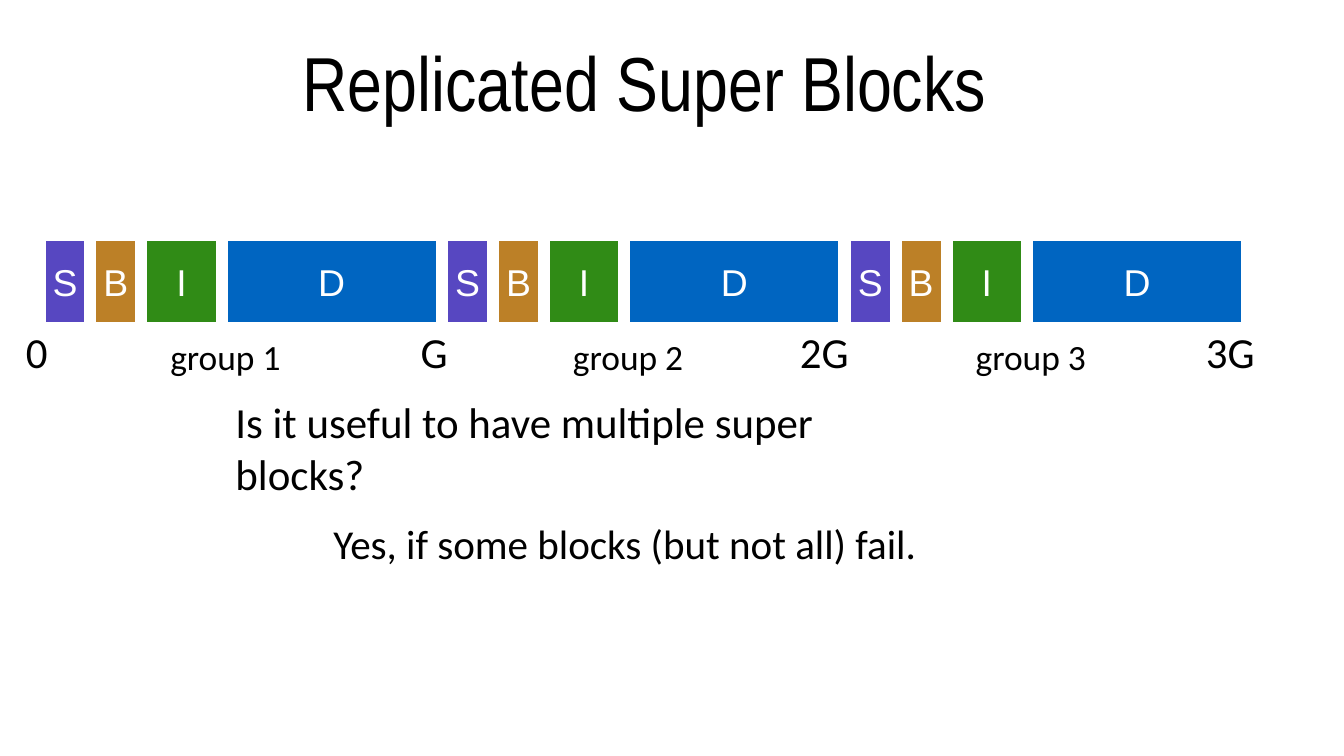
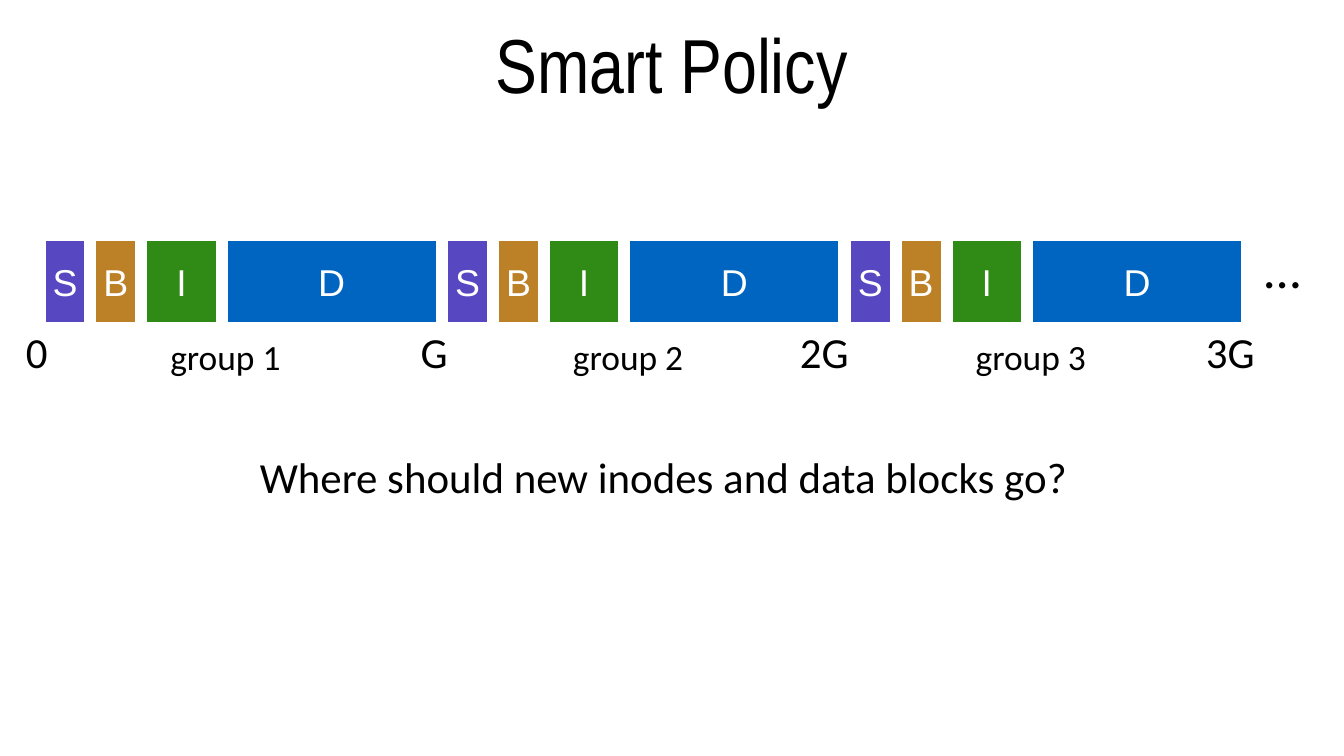
from pptx import Presentation
from pptx.dml.color import RGBColor
from pptx.enum.shapes import MSO_SHAPE
from pptx.enum.text import MSO_ANCHOR, PP_ALIGN
from pptx.util import Cm, Pt

RECTANGLE = MSO_SHAPE.RECTANGLE
MIDDLE, TOP = MSO_ANCHOR.MIDDLE, MSO_ANCHOR.TOP
LEFT, CENTER = PP_ALIGN.LEFT, PP_ALIGN.CENTER

BLACK, WHITE = "000000", "FFFFFF"
TITLE_FONT, BLOCK_FONT, BODY_FONT = "Arial Narrow", "Arial", "Calibri"

BLOCKS = [("S", 0.84, "5747C1"), ("B", 0.84, "BC8027"),
          ("I", 1.4, "308B16"), ("D", 4.04, "0065C1")]
GROUPS = ["group 1", "group 2", "group 3"]
MARKS = [("0", 0.41, 0.58), ("G", 7.87, 0.79), ("2G", 15.04, 1.19), ("3G", 22.71, 1.19)]

DISK_LEFT, DISK_TOP, BLOCK_HEIGHT = 0.81, 4.5, 1.65
BLOCK_GAP, GROUP_PITCH = 0.12, 7.61
GROUP_LABEL_LEFT = 3.14

SLIDES = [
    {"title": ("Replicated Super Blocks", (1.14, 0.2, 22.1, 2.67)),
     "texts": [
         ("Is it useful to have multiple super blocks?", (4.37, 7.87, 13.2, 1.17),
          {"size": 23, "wrap": True}),
         ("Yes, if some blocks (but not all) fail.", (6.05, 9.68, 11.66, 1.19),
          {"size": 22, "anchor": TOP, "insets": (0.25, 0.13)}),
     ]},
    {"title": ("Smart Policy", (1.27, 0, 22.86, 2.39)),
     "texts": [
         ("Where should new inodes and data blocks go?", (4.83, 8.41, 15.6, 1.17),
          {"size": 23}),
         ("…", (23.65, 4.37, 1.17, 1.37), {"size": 28, "align": CENTER}),
     ]},
]


def color(value):
    return RGBColor.from_string(value)


def write(shape, text, size=23, font=BODY_FONT, fill=BLACK, align=LEFT,
          anchor=MIDDLE, insets=(0.08, 0.08), wrap=False):
    frame = shape.text_frame
    frame.word_wrap = wrap
    frame.vertical_anchor = anchor
    frame.margin_left = frame.margin_right = Cm(insets[0])
    frame.margin_top = frame.margin_bottom = Cm(insets[1])
    paragraph = frame.paragraphs[0]
    paragraph.alignment = align
    run = paragraph.add_run()
    run.text = text
    run.font.size = Pt(size)
    run.font.name = font
    run.font.color.rgb = color(fill)


def add_text(slide, text, box, **style):
    write(slide.shapes.add_textbox(*map(Cm, box)), text, **style)


def add_block_group(slide, left):
    group = slide.shapes.add_group_shape()
    for letter, width, fill in BLOCKS:
        block = group.shapes.add_shape(
            RECTANGLE, Cm(left), Cm(DISK_TOP), Cm(width), Cm(BLOCK_HEIGHT))
        block.shadow.inherit = False
        block.fill.solid()
        block.fill.fore_color.rgb = color(fill)
        block.line.color.rgb = color(WHITE)
        block.line.width = Pt(3)
        write(block, letter, size=20, font=BLOCK_FONT, fill=WHITE,
              align=CENTER, insets=(0, 0), wrap=True)
        left += width + BLOCK_GAP


def add_disk(slide):
    for index, label in enumerate(GROUPS):
        offset = index * GROUP_PITCH
        add_block_group(slide, DISK_LEFT + offset)
        add_text(slide, label, (GROUP_LABEL_LEFT + offset, 6.25, 2.29, 0.99), size=19)
    for mark, left, width in MARKS:
        add_text(slide, mark, (left, 6.05, width, 1.17))


def main():
    presentation = Presentation()
    presentation.slide_width, presentation.slide_height = Cm(25.4), Cm(14.29)
    for content in SLIDES:
        slide = presentation.slides.add_slide(presentation.slide_layouts[6])
        title, box = content["title"]
        add_text(slide, title, box, size=41, font=TITLE_FONT, align=CENTER,
                 insets=(0.25, 0.13), wrap=True)
        add_disk(slide)
        for text, box, style in content["texts"]:
            add_text(slide, text, box, **style)
    presentation.save("out.pptx")


if __name__ == "__main__":
    main()
